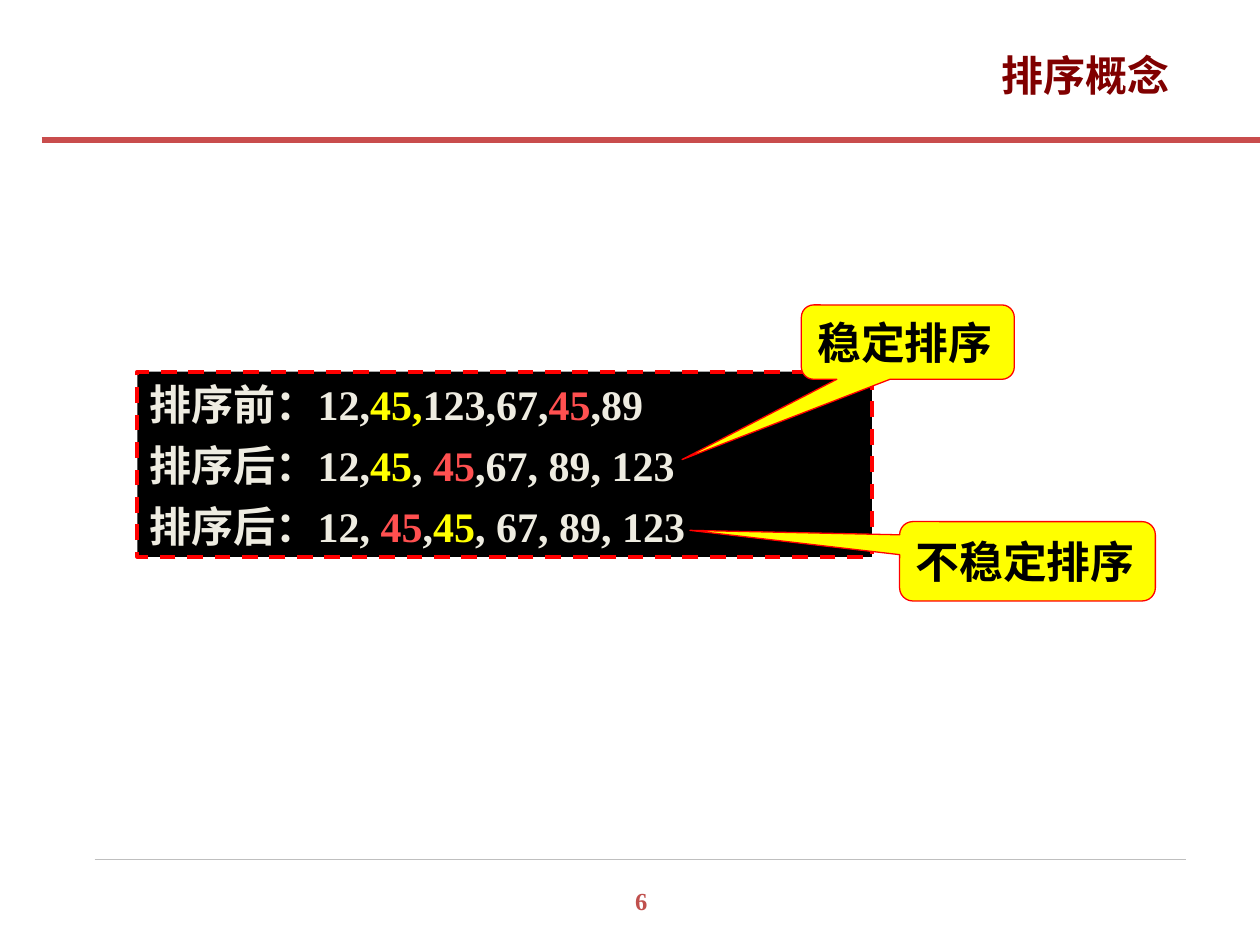
from dataclasses import dataclass
from lxml.etree import SubElement
from pptx import Presentation
from pptx.dml.color import RGBColor as RGB
from pptx.enum.dml import MSO_LINE as Dash
from pptx.enum.shapes import MSO_CONNECTOR as Conn, MSO_SHAPE as Shape
from pptx.enum.text import MSO_ANCHOR as Anchor, PP_ALIGN as Align
from pptx.oxml.ns import qn
from pptx.util import Inches, Pt


@dataclass(frozen=True)
class Theme:
    latin: str = "Times New Roman"
    asian: str = "Noto Sans CJK SC"
    title: str = "800000"
    rule: str = "C94D4D"
    hair: str = "BFBFBF"
    page: str = "C0504D"
    edge: str = "FF0000"
    panel: str = "000000"
    ink: str = "000000"
    note: str = "FFFF00"
    pale: str = "EEECE1"
    first: str = "FFFF00"
    second: str = "FF5050"
    body_size: float = 24
    note_size: float = 25
    page_size: float = 14


class Deck:
    def __init__(self, theme):
        self.theme = theme
        self.prs = Presentation()
        self.prs.slide_width = Inches(10)
        self.prs.slide_height = Inches(7.5)
        self.slide = self.prs.slides.add_slide(self.prs.slide_layouts[5])

    def run(self, para, text, size, color, latin=None):
        run = para.add_run()
        run.text = text
        font = run.font
        font.name = latin or self.theme.latin
        font.size = Pt(size)
        font.bold = True
        font.color.rgb = RGB.from_string(color)
        SubElement(run._r.get_or_add_rPr(), qn("a:ea"), typeface=self.theme.asian)

    def title(self, text, *box):
        shape = self.slide.shapes.title
        shape.left, shape.top, shape.width, shape.height = map(Inches, box)
        frame = shape.text_frame
        frame.vertical_anchor = Anchor.TOP
        para = frame.paragraphs[0]
        para.alignment = Align.CENTER
        self.run(para, text, self.theme.body_size, self.theme.title, self.theme.asian)

    def rule(self, left, right, top, color, width):
        line = self.slide.shapes.add_connector(
            Conn.STRAIGHT, Inches(left), Inches(top), Inches(right), Inches(top))
        line.line.color.rgb = RGB.from_string(color)
        line.line.width = Pt(width)
        SubElement(line._element.spPr, qn("a:effectLst"))

    def shape(self, kind, box, fill, width):
        shape = self.slide.shapes.add_shape(kind, *map(Inches, box))
        shape.shadow.inherit = False
        shape.fill.solid()
        shape.fill.fore_color.rgb = RGB.from_string(fill)
        shape.line.color.rgb = RGB.from_string(self.theme.edge)
        shape.line.width = Pt(width)
        return shape

    def panel(self, rows, *box):
        """Draw a dashed box with one paragraph for each row of (text, colour) pairs."""
        shape = self.shape(Shape.RECTANGLE, box, self.theme.panel, 2.25)
        shape.line.dash_style = Dash.DASH
        frame = shape.text_frame
        frame.vertical_anchor = Anchor.TOP
        for i, row in enumerate(rows):
            para = frame.add_paragraph() if i else frame.paragraphs[0]
            para.alignment = Align.LEFT
            para.line_spacing = Pt(29)
            if i:
                para.space_before = Pt(6)
            for text, color in row:
                self.run(para, text, self.theme.body_size, color)

    def note(self, text, tip, *box):
        """Draw a callout whose tip is the offset from its centre, in box sizes."""
        shape = self.shape(Shape.ROUNDED_RECTANGULAR_CALLOUT, box, self.theme.note, 0.75)
        shape.adjustments[0], shape.adjustments[1] = tip
        frame = shape.text_frame
        frame.word_wrap = True
        frame.vertical_anchor = Anchor.MIDDLE
        para = frame.paragraphs[0]
        para.alignment = Align.LEFT
        self.run(para, text, self.theme.note_size, self.theme.ink)

    def page(self, text, *box):
        frame = self.slide.shapes.add_textbox(*map(Inches, box)).text_frame
        frame.word_wrap = True
        para = frame.paragraphs[0]
        para.alignment = Align.CENTER
        self.run(para, text, self.theme.page_size, self.theme.page)


def main():
    look = Theme()
    pale, first, second = look.pale, look.first, look.second
    deck = Deck(look)
    deck.rule(0.75, 9.41, 6.82, look.hair, 0.25)
    deck.page("6", 4.84, 6.98, 0.5, 0.34)
    deck.rule(0.33, 10, 1.11, look.rule, 3.5)
    deck.title("排序概念", 7.5, 0.34, 2.23, 0.58)
    rows = [
        [("排序前：12,", pale), ("45,", first), ("123,67,", pale),
         ("45", second), (",89", pale)],
        [("排序后：12,", pale), ("45", first), (", ", pale),
         ("45", second), (",67, 89, 123", pale)],
        [("排序后：12,", pale), (" 45", second), (",", pale),
         ("45", first), (", 67, 89, 123", pale)],
    ]
    deck.panel(rows, 1.09, 2.95, 5.83, 1.47)
    deck.note("稳定排序", (-1.06, 1.58), 6.36, 2.42, 1.69, 0.59)
    deck.note("不稳定排序", (-1.32, -0.39), 7.14, 4.14, 2.03, 0.63)
    deck.prs.save("out.pptx")


if __name__ == "__main__":
    main()
